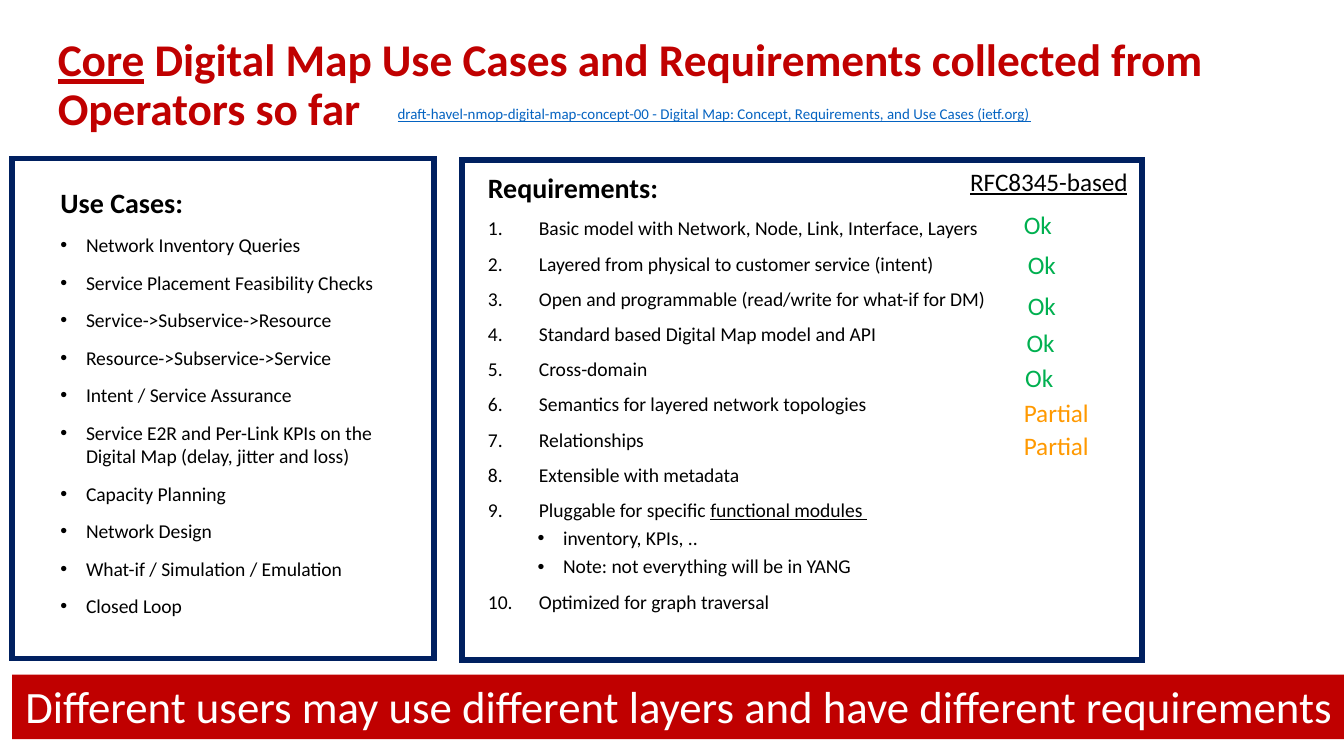
from dataclasses import dataclass

from lxml import etree
from pptx import Presentation
from pptx import util as u
from pptx.dml.color import RGBColor
from pptx.enum import shapes, text
from pptx.oxml.ns import qn


@dataclass(frozen=True)
class Theme:
    font: str = "Calibri"
    black: str = "000000"
    white: str = "FFFFFF"
    red: str = "C00000"
    navy: str = "002060"
    green: str = "00B050"
    orange: str = "FF9900"
    link: str = "0563C1"
    title: float = 24.3
    banner: float = 24
    heading: float = 15
    status: float = 13.5
    body: float = 10.5
    small: float = 8
    frame: float = 3


USE_CASES = [
    "Network Inventory Queries",
    "Service Placement Feasibility Checks",
    "Service->Subservice->Resource",
    "Resource->Subservice->Service",
    "Intent / Service Assurance",
    "Service E2R and Per-Link KPIs on the Digital Map (delay, jitter and loss)",
    "Capacity Planning",
    "Network Design",
    "What-if / Simulation / Emulation",
    "Closed Loop",
]
# Level and text of each requirement
REQUIREMENTS = [
    (0, "Basic model with Network, Node, Link, Interface, Layers"),
    (0, "Layered from physical to customer service (intent)"),
    (0, "Open and programmable (read/write for what-if for DM)"),
    (0, "Standard based Digital Map model and API"),
    (0, "Cross-domain"),
    (0, "Semantics for layered network topologies"),
    (0, "Relationships"),
    (0, "Extensible with metadata"),
    (0, "Pluggable for specific "),
    (1, "inventory, KPIs, .."),
    (1, "Note: not everything will be in YANG"),
    (0, "Optimized for graph traversal"),
]
MODULES_ROW = 8  # the requirement that ends with an underlined phrase
# Left and top of each status
OK_SPOTS = [(7.52, 1.51), (7.55, 1.81), (7.55, 2.11), (7.54, 2.39), (7.53, 2.65)]
PARTIAL_SPOTS = [(7.52, 2.91), (7.52, 3.15)]


class SlideBuilder:
    def __init__(self, prs, theme):
        self.t = theme
        self.s = prs.slides.add_slide(prs.slide_layouts[3])

    def place(self, sp, box):
        sp.left, sp.top, sp.width, sp.height = (u.Inches(v) for v in box)

    def insets(self, tf, left, top, right, bottom):
        tf.margin_left, tf.margin_top = u.Inches(left), u.Inches(top)
        tf.margin_right, tf.margin_bottom = u.Inches(right), u.Inches(bottom)

    def style(self, r, size, color, bold=False, underline=False):
        f = r.font
        f.name, f.size, f.bold, f.underline = self.t.font, u.Pt(size), bold, underline
        f.color.rgb = RGBColor.from_string(color)

    def bullet(self, p, kind, indent=0, hang=0):
        pPr = p._p.get_or_add_pPr()
        pPr.set("marL", str(u.Inches(indent)))
        pPr.set("indent", str(-u.Inches(hang)))
        if kind == "number":
            etree.SubElement(pPr, qn("a:buAutoNum"), type="arabicPeriod")
        elif kind == "dot":
            etree.SubElement(pPr, qn("a:buFont"), typeface="Arial")
            etree.SubElement(pPr, qn("a:buChar"), char="•")
        else:
            etree.SubElement(pPr, qn("a:buNone"))

    def title(self, box, lead, rest):
        sp = self.s.shapes.title
        self.place(sp, box)
        tf = sp.text_frame
        tf.auto_size = text.MSO_AUTO_SIZE.NONE
        tf.vertical_anchor = text.MSO_ANCHOR.TOP
        self.insets(tf, 0.08, 0, 0.07, 0)
        p = tf.paragraphs[0]
        p.text = lead
        p.alignment, p.line_spacing = text.PP_ALIGN.LEFT, 0.9
        self.style(p.runs[0], self.t.title, self.t.red, True, True)
        r = p.add_run()
        r.text = rest
        self.style(r, self.t.title, self.t.red, True)

    def list_panel(self, idx, box, heading, items, kind, hang, spacing):
        sp = self.s.placeholders[idx]
        self.place(sp, box)
        tf = sp.text_frame
        tf.text = "\n".join([heading] + [item for _, item in items])
        tf.auto_size = text.MSO_AUTO_SIZE.NONE
        for p, level in zip(tf.paragraphs, [None] + [lvl for lvl, _ in items]):
            p.line_spacing = spacing
            p.space_before = u.Pt(3.8 if level else 7.5)
            size = self.t.heading if level is None else self.t.body
            self.style(p.runs[0], size, self.t.black, level is None)
            if level is None:
                self.bullet(p, "none")
            elif level == 0:
                self.bullet(p, kind, hang, hang)
            else:
                p.level = level
                self.bullet(p, "dot", hang + 0.18, 0.19)
        return tf

    def label(self, box, words, size, color, underline=False, wrap=False):
        tf = self.s.shapes.add_textbox(*(u.Inches(v) for v in box)).text_frame
        tf.text = words
        tf.word_wrap = wrap
        tf.auto_size = text.MSO_AUTO_SIZE.SHAPE_TO_FIT_TEXT
        self.style(tf.paragraphs[0].runs[0], size, color, underline=underline)

    def rect(self, box):
        sp = self.s.shapes.add_shape(shapes.MSO_SHAPE.RECTANGLE, *(u.Inches(v) for v in box))
        sp.shadow.inherit = False
        return sp

    def frame(self, box):
        sp = self.rect(box)
        sp.fill.background()
        sp.line.color.rgb = RGBColor.from_string(self.t.navy)
        sp.line.width = u.Pt(self.t.frame)
        # Square corners
        etree.SubElement(sp.line._get_or_add_ln(), qn("a:miter"), lim="800000")

    def banner(self, box, words):
        sp = self.rect(box)
        sp.fill.solid()
        sp.fill.fore_color.rgb = RGBColor.from_string(self.t.red)
        sp.line.fill.background()
        tf = sp.text_frame
        tf.text = words
        tf.word_wrap = True
        tf.auto_size = text.MSO_AUTO_SIZE.SHAPE_TO_FIT_TEXT
        tf.vertical_anchor = text.MSO_ANCHOR.TOP
        self.insets(tf, 0.1, 0.03, 0, 0.05)
        p = tf.paragraphs[0]
        p.alignment = text.PP_ALIGN.LEFT
        self.style(p.runs[0], self.t.banner, self.t.white)


def main():
    prs = Presentation()
    prs.slide_width = u.Inches(10)
    prs.slide_height = prs.slide_width * 9 // 16
    t = Theme()
    b = SlideBuilder(prs, t)

    # Title
    b.title((0.35, 0.28, 8.96, 1.09), "Core",
            " Digital Map Use Cases and Requirements collected from Operators so far")

    # Lists
    b.list_panel(1, (0.35, 1.33, 2.76, 3.31), "Use Cases:",
                 [(0, case) for case in USE_CASES], "dot", 0.19, 1.0)
    tf = b.list_panel(2, (3.56, 1.26, 4.45, 3.57), "Requirements:",
                      REQUIREMENTS, "number", 0.38, 0.9)
    b.insets(tf, 0.07, 0.04, 0.07, 0.04)
    r = tf.paragraphs[MODULES_ROW + 1].add_run()
    r.text = "functional modules "
    b.style(r, t.body, t.black, underline=True)

    # Bottom message
    b.banner((0.09, 5.02, 9.91, 0.48),
             "Different users may use different layers and have different requirements")

    # Status column
    b.label((7.12, 1.19, 1.4, 0.33), "RFC8345-based", t.status, t.black, underline=True)
    for x, y in OK_SPOTS:
        b.label((x, y, 0.41, 0.33), "Ok", t.status, t.green)
    for x, y in PARTIAL_SPOTS:
        b.label((x, y, 0.7, 0.33), "Partial", t.status, t.orange)

    # Panel frames
    b.frame((0.09, 1.18, 3.14, 3.72))
    b.frame((3.44, 1.19, 5.06, 3.72))

    # Draft reference
    b.label((2.86, 0.73, 5.08, 0.24),
            "draft-havel-nmop-digital-map-concept-00 - Digital Map: Concept, "
            "Requirements, and Use Cases (ietf.org)",
            t.small, t.link, underline=True, wrap=True)

    prs.save("out.pptx")


if __name__ == "__main__":
    main()
